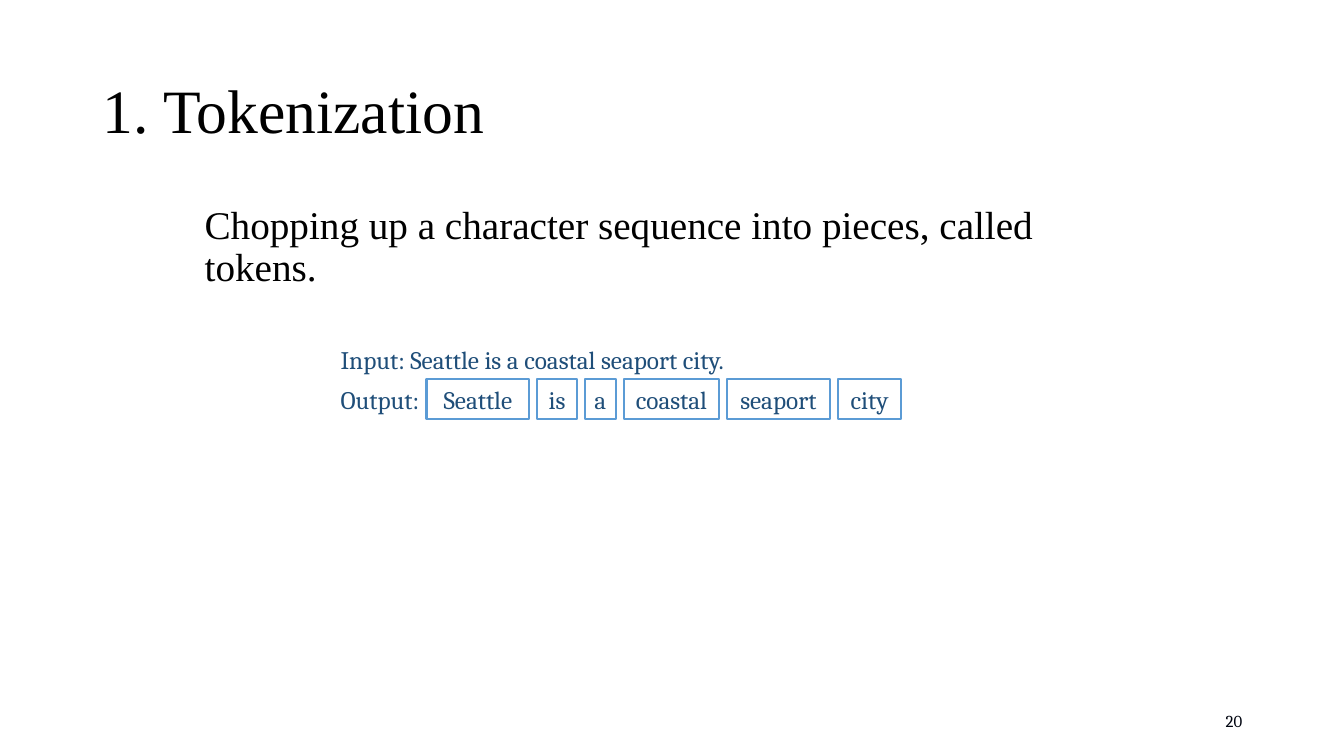
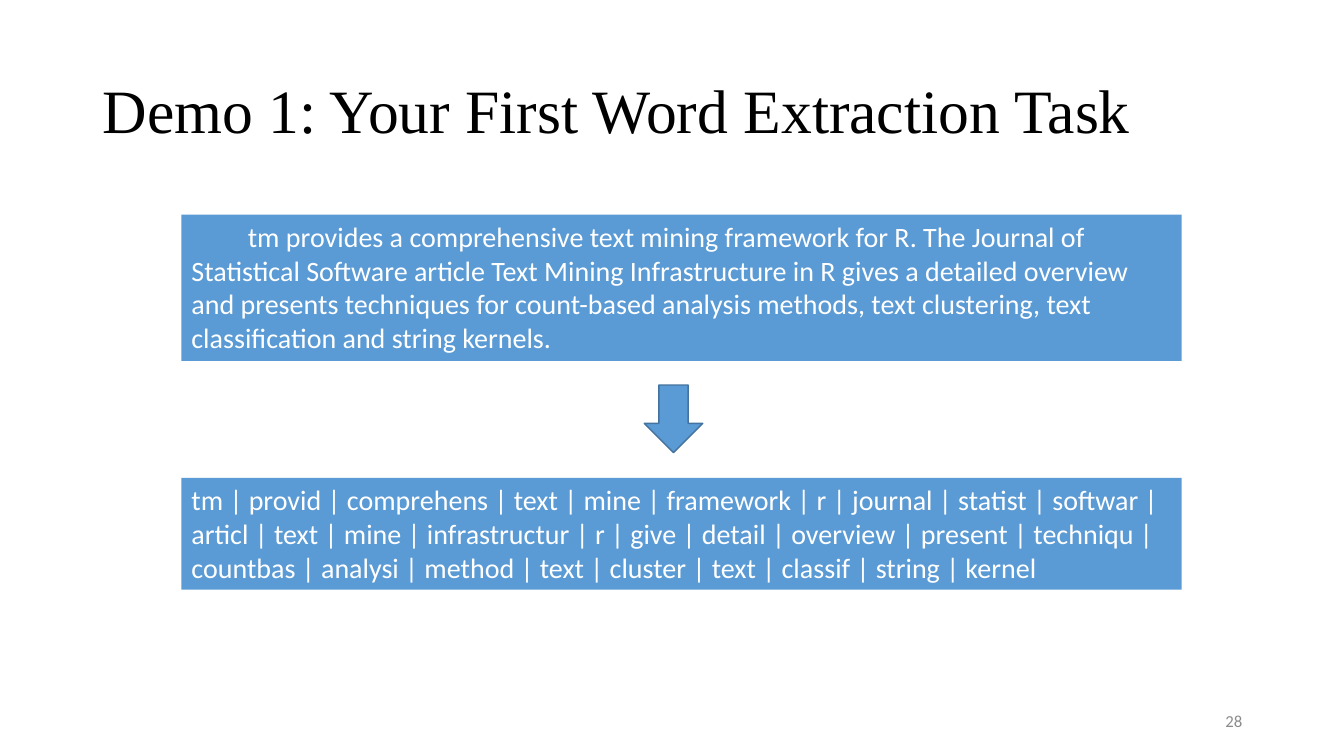
"""Build two text-mining slides: tokenization and a word extraction demo."""
from dataclasses import dataclass

from lxml import etree
from pptx import Presentation
from pptx.dml.color import RGBColor
from pptx.enum.shapes import MSO_SHAPE
from pptx.enum.text import MSO_ANCHOR, MSO_AUTO_SIZE, PP_ALIGN
from pptx.oxml.ns import qn
from pptx.util import Inches, Pt

RECTANGLE, DOWN_ARROW = MSO_SHAPE.RECTANGLE, MSO_SHAPE.DOWN_ARROW
LEFT, CENTER, RIGHT = PP_ALIGN.LEFT, PP_ALIGN.CENTER, PP_ALIGN.RIGHT
TOP, MIDDLE = MSO_ANCHOR.TOP, MSO_ANCHOR.MIDDLE
TITLE_AND_CONTENT, TITLE_ONLY = 1, 5

TOKENIZATION = {
    "title": "1. Tokenization",
    "number": "20",
    "definition": "Chopping up a character sequence into pieces, called tokens.",
    "input": "Input: Seattle is a coastal seaport city.",
    "output": "Output:",
    "tokens": [("Seattle", 1.02), ("is", 0.39), ("a", 0.31),
               ("coastal", 0.94), ("seaport", 1.02), ("city", 0.63)],
}
DEMO = {
    "title": "Demo 1: Your First Word Extraction Task",
    "number": "28",
    "passage": "tm provides a comprehensive text mining framework for R. "
               "The Journal of Statistical Software article Text Mining "
               "Infrastructure in R gives a detailed overview and presents "
               "techniques for count-based analysis methods, text clustering, "
               "text classification and string kernels.",
    "stems": "tm provid comprehens text mine framework r journal statist softwar "
             "articl text mine infrastructur r give detail overview present "
             "techniqu countbas analysi method text cluster text classif string "
             "kernel",
}


@dataclass(frozen=True)
class Theme:
    black: str = "000000"
    white: str = "FFFFFF"
    navy: str = "1F4E79"
    blue: str = "5B9BD5"
    arrow_edge: str = "43739E"
    serif: str = "Times New Roman"
    example: str = "Cambria"
    sans: str = "Calibri"


THEME = Theme()
TITLE = {"name": THEME.serif, "size": 44, "color": THEME.black}
DEFINITION = {"name": THEME.serif, "size": 28, "color": THEME.black}
EXAMPLE = {"name": THEME.example, "size": 18, "color": THEME.navy}
PANEL = {"name": THEME.sans, "size": 20, "color": THEME.white}
EXAMPLE_NUMBER = {"name": THEME.example, "size": 12, "color": "000510"}
DEMO_NUMBER = {"name": THEME.sans, "size": 12, "color": "8C8C8C"}


def inches(box):
    return [Inches(value) for value in box]


def place(shape, box):
    shape.left, shape.top, shape.width, shape.height = inches(box)


def write(shape, text, style, align=LEFT, anchor=TOP, wrap=True, **spacing):
    frame = shape.text_frame
    frame.text = text
    frame_format = {"word_wrap": wrap, "vertical_anchor": anchor,
                    "auto_size": MSO_AUTO_SIZE.NONE}
    for key, value in frame_format.items():
        setattr(frame, key, value)
    paragraph = frame.paragraphs[0]
    for key, value in {"alignment": align, **spacing}.items():
        setattr(paragraph, key, value)
    font = paragraph.runs[0].font
    font.name, font.size = style["name"], Pt(style["size"])
    font.color.rgb = RGBColor.from_string(style["color"])
    return paragraph


def add_label(shapes, text, box, style, **layout):
    label = shapes.add_textbox(*inches(box))
    write(label, text, style, **layout)


def add_block(shapes, preset, box, fill=None, edge=None, edge_width=1):
    block = shapes.add_shape(preset, *inches(box))
    block.shadow.inherit = False
    for target, color in ((block.fill, fill), (block.line.fill, edge)):
        if color:
            target.solid()
            target.fore_color.rgb = RGBColor.from_string(color)
        else:
            target.background()
    if edge:
        block.line.width = Pt(edge_width)
    return block


def add_slide(deck, layout, content, number_style):
    slide = deck.slides.add_slide(deck.slide_layouts[layout])
    place(slide.shapes.title, (0.92, 0.4, 11.5, 1.45))
    write(slide.shapes.title, content["title"], TITLE, anchor=MIDDLE,
          line_spacing=0.9)
    add_label(slide.shapes, content["number"], (9.42, 6.95, 3, 0.4),
              number_style, align=RIGHT, anchor=MIDDLE)
    return slide


def build_tokenization(deck):
    slide = add_slide(deck, TITLE_AND_CONTENT, TOKENIZATION, EXAMPLE_NUMBER)
    definition = slide.placeholders[1]
    place(definition, (1.93, 1.99, 9, 4.64))
    paragraph = write(definition, TOKENIZATION["definition"], DEFINITION,
                      line_spacing=0.9, space_before=Pt(0))
    properties = paragraph._p.get_or_add_pPr()
    properties.set("marL", "0")
    properties.set("indent", "0")
    etree.SubElement(properties, qn("a:buNone"))

    example = slide.shapes.add_group_shape().shapes
    left, row, height, gap = 3.28, 3.76, 0.4, 0.08
    add_label(example, TOKENIZATION["input"], (left, 3.37, 6.38, height), EXAMPLE)
    add_label(example, TOKENIZATION["output"], (left, row, 1.02, height),
              EXAMPLE, wrap=False)
    left = 4.23
    for word, width in TOKENIZATION["tokens"]:
        token = add_block(example, RECTANGLE, (left, row, width, height),
                          edge=THEME.blue, edge_width=1.5)
        write(token, word, EXAMPLE, align=CENTER, wrap=False)
        left += width + gap


def build_demo(deck):
    slide = add_slide(deck, TITLE_ONLY, DEMO, DEMO_NUMBER)
    stems = " | ".join(DEMO["stems"].split())
    panels = ((DEMO["passage"], 2.13, 1.45, 0.56), (stems, 4.74, 1.11, 0))
    for text, top, height, indent in panels:
        panel = add_block(slide.shapes, RECTANGLE, (1.8, top, 9.92, height),
                          fill=THEME.blue)
        paragraph = write(panel, text, PANEL)
        paragraph._p.get_or_add_pPr().set("indent", str(Inches(indent)))
    add_block(slide.shapes, DOWN_ARROW, (6.39, 3.82, 0.58, 0.67),
              fill=THEME.blue, edge=THEME.arrow_edge)


def main():
    deck = Presentation()
    deck.slide_width, deck.slide_height = inches((13.33, 7.5))
    build_tokenization(deck)
    build_demo(deck)
    deck.save("out.pptx")


if __name__ == "__main__":
    main()
